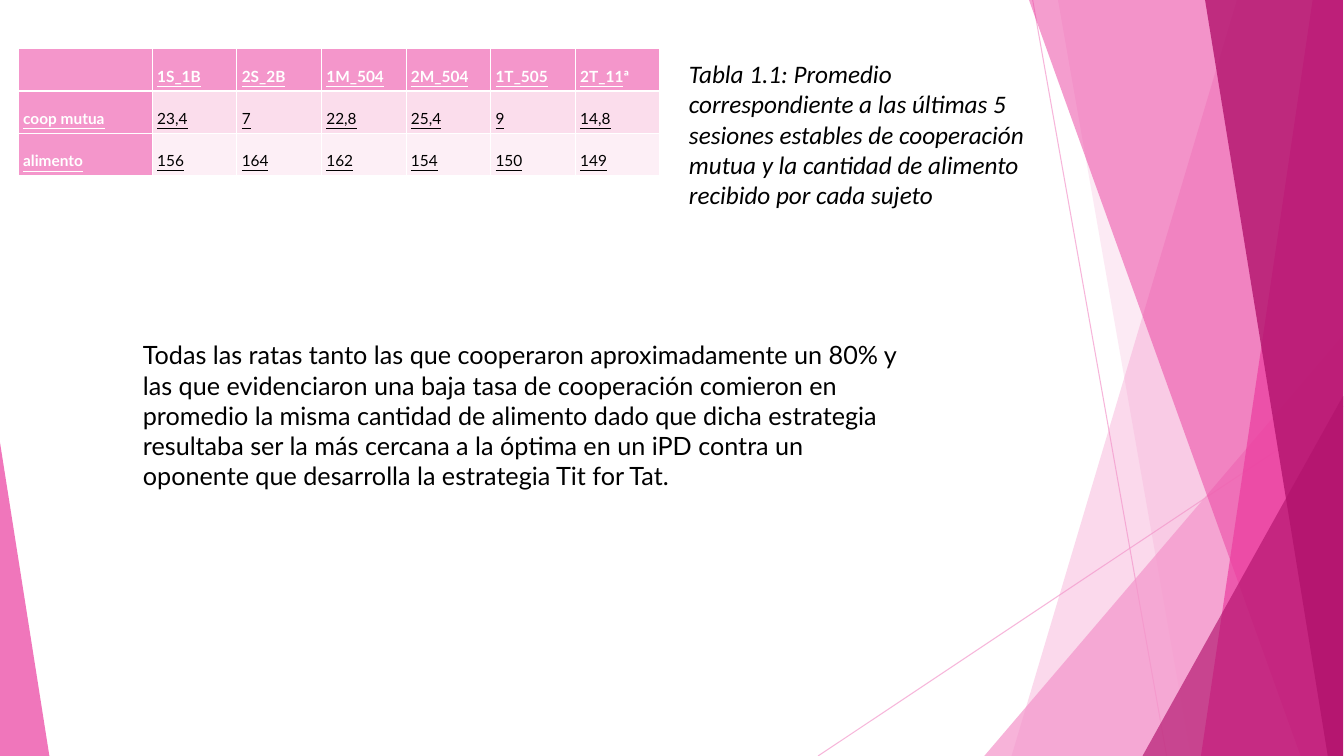
from lxml.etree import SubElement
from pptx import Presentation
from pptx.dml.color import RGBColor
from pptx.enum.shapes import MSO_CONNECTOR as Connector, MSO_SHAPE as Preset
from pptx.enum.text import MSO_ANCHOR as Anchor, PP_ALIGN as Align
from pptx.oxml.ns import qn
from pptx.util import Inches, Pt

COLORS = {
    "light": "F496CB", "mid": "EB3D9F", "dark": "B2136D",
    "band": "FBDDEC", "pale": "FDEFF6", "white": "FFFFFF", "black": "000000",
}
RIGHT, BOTTOM = 13.33, 7.5


def rgb(name):
    return RGBColor.from_string(COLORS[name])


class SlideBuilder:
    def __init__(self, deck):
        self.page = deck.slides.add_slide(deck.slide_layouts[6])
        self.shapes = self.page.shapes

    def set_alpha(self, shape, percent):
        for color in shape._element.spPr.iter(qn("a:srgbClr")):
            SubElement(color, qn("a:alpha"), val=str(percent * 1000))

    def paint(self, shape, color, percent):
        shape.shadow.inherit = False
        shape.fill.solid()
        shape.fill.fore_color.rgb = rgb(color)
        shape.line.fill.background()
        self.set_alpha(shape, percent)

    def line(self, start, end, color, percent):
        line = self.shapes.add_connector(
            Connector.STRAIGHT, *(Inches(value) for value in start + end))
        line.line.color.rgb = rgb(color)
        line.line.width = Pt(0.75)
        SubElement(line._element.spPr, qn("a:effectLst"))
        self.set_alpha(line, percent)

    def ribbon(self, top_left, bottom_left, bottom_right, color, percent):
        """Four-sided band that reaches the right edge at the top."""
        corners = [(Inches(x), Inches(y)) for x, y in (
            (top_left, -0.01), (RIGHT, -0.01),
            (bottom_right, BOTTOM), (bottom_left, BOTTOM))]
        outline = self.shapes.build_freeform(*corners[0])
        outline.add_line_segments(corners[1:], close=True)
        self.paint(outline.convert_to_shape(), color, percent)

    def triangle(self, left, top, width, apex, color, percent):
        shape = self.shapes.add_shape(
            Preset.ISOSCELES_TRIANGLE, Inches(left), Inches(top),
            Inches(width), Inches(BOTTOM - top))
        shape.adjustments[0] = apex
        self.paint(shape, color, percent)

    def add_span(self, para, text, color, **font):
        span = para.add_run()
        span.text = text
        span.font.color.rgb = rgb(color)
        for name, value in font.items():
            setattr(span.font, name, value)

    def text(self, left, top, width, height, text, **font):
        box = self.shapes.add_textbox(
            Inches(left), Inches(top), Inches(width), Inches(height))
        box.text_frame.word_wrap = True
        self.add_span(box.text_frame.paragraphs[0], text, "black",
                      size=Pt(18), **font)

    def border(self, cell, sides):
        properties = cell._tc.get_or_add_tcPr()
        for index, (side, width) in enumerate(sides.items()):
            edge = SubElement(properties, qn("a:" + side), w=str(Pt(width)))
            fill = SubElement(edge, qn("a:solidFill"))
            SubElement(fill, qn("a:srgbClr"), val=COLORS["white"])
            properties.insert(index, edge)

    def table(self, left, top, widths, row_height, rows, fills):
        table = self.shapes.add_table(
            len(rows), len(widths), Inches(left), Inches(top),
            Inches(sum(widths)), Inches(row_height * len(rows))).table
        table.first_row = table.horz_banding = False
        for column, width in zip(table.columns, widths):
            column.width = Inches(width)
        for r, values in enumerate(rows):
            table.rows[r].height = Inches(row_height)
            for c, value in enumerate(values):
                self.cell(table.cell(r, c), r, c, value, fills[r])

    def cell(self, cell, r, c, value, fill):
        heading = r == 0 or c == 0
        cell.fill.solid()
        cell.fill.fore_color.rgb = rgb("light" if heading else fill)
        cell.vertical_anchor = Anchor.BOTTOM
        for side in ("left", "top", "right", "bottom"):
            setattr(cell, "margin_" + side, Inches(0.05))
        self.border(cell, {"lnL": 0.45, "lnR": 0.45,
                           "lnT": 1.47 if r == 1 else 0.45,
                           "lnB": 1.47 if r == 0 else 0.45})
        para = cell.text_frame.paragraphs[0]
        para.alignment, para.line_spacing = Align.JUSTIFY, 1.5
        para.font.size = Pt(11)
        style = {"color": "white" if heading else "black",
                 "bold": heading, "size": Pt(11), "name": "Lato"}
        label = value.removesuffix("ª")
        if label:
            self.add_span(para, label, underline=True, **style)
        if label != value:
            self.add_span(para, "ª", underline=False, **style)


def main():
    deck = Presentation()
    deck.slide_width, deck.slide_height = Inches(13.34), Inches(BOTTOM)
    slide = SlideBuilder(deck)

    # Background facets
    slide.line((10.25, 0), (11.58, BOTTOM), "light", 70)
    slide.line((RIGHT, 4.03), (8.12, BOTTOM), "light", 70)
    slide.ribbon(12.28, 10.04, RIGHT, "light", 36)
    slide.ribbon(10.5, 11.82, RIGHT, "light", 20)
    slide.triangle(9.77, 3.33, 3.56, 1, "light", 72)
    slide.ribbon(10.21, 12.91, RIGHT, "mid", 50)
    slide.ribbon(13.03, 11.92, RIGHT, "mid", 70)
    slide.ribbon(11.96, 13.18, RIGHT, "dark", 80)
    slide.triangle(11.34, 3.93, 1.99, 1, "dark", 66)
    slide.triangle(0, 4.39, 0.49, 0, "mid", 70)

    # Caption and conclusion
    slide.text(6.74, 0.53, 3.75, 1.6,
               "Tabla 1.1: Promedio correspondiente a las últimas 5 sesiones "
               "estables de cooperación mutua y la cantidad de alimento "
               "recibido por cada sujeto", name="Calibri", italic=True)
    slide.text(1.32, 3.32, 7.72, 1.9,
               "Todas las ratas tanto las que cooperaron aproximadamente un "
               "80% y las que evidenciaron una baja tasa de cooperación "
               "comieron en promedio la misma cantidad de alimento dado que "
               "dicha estrategia resultaba ser la más cercana a la óptima en "
               "un iPD contra un oponente que desarrolla la estrategia "
               "Tit for Tat.", name="Lato")

    # Averages per subject
    rows = [
        ["", "1S_1B", "2S_2B", "1M_504", "2M_504", "1T_505", "2T_11ª"],
        ["coop mutua", "23,4", "7", "22,8", "25,4", "9", "14,8"],
        ["alimento", "156", "164", "162", "154", "150", "149"],
    ]
    slide.table(0.18, 0.48, [1.33] + [0.84] * 6, 0.42, rows,
                ["light", "band", "pale"])

    deck.save("out.pptx")


if __name__ == "__main__":
    main()
